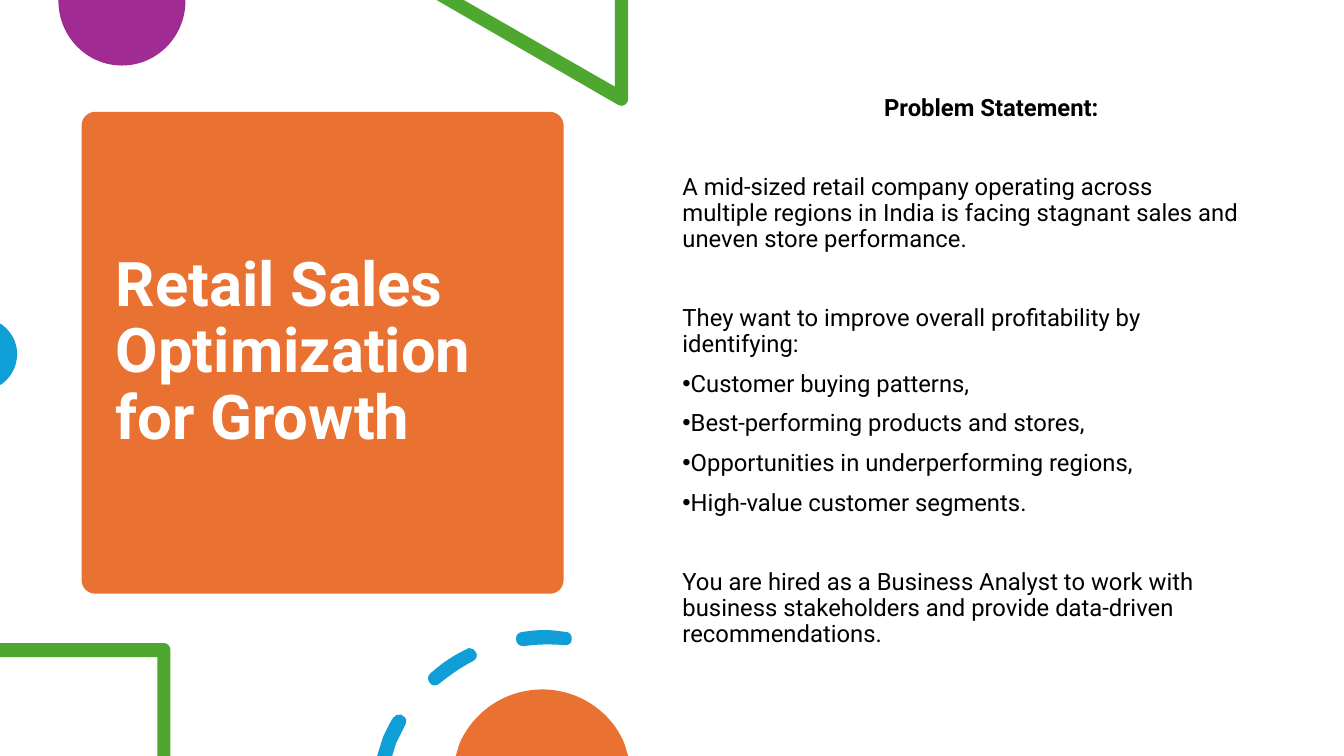
from dataclasses import dataclass

import lxml.etree
import pptx
import pptx.dml.color
import pptx.enum.shapes
import pptx.enum.text
import pptx.oxml.ns
import pptx.util


@dataclass(frozen=True)
class Theme:
    font: str = "Roboto"
    bullet_font: str = "Arial"
    orange: str = "E97132"
    purple: str = "A02B93"
    green: str = "4EA72E"
    blue: str = "0F9ED5"
    white: str = "FFFFFF"
    black: str = "000000"
    title_size: int = 44
    body_size: int = 17
    line_spacing: float = 0.9
    paragraph_gap: float = 10
    section_gap: float = 38.4


class SlideBuilder:
    """Draw styled elements on one slide, with lengths in px at 100 px to the inch."""

    SCALE = 9144

    def __init__(self, slide, theme):
        self.slide = slide
        self.theme = theme

    def emu(self, *lengths):
        return [pptx.util.Emu(length * self.SCALE) for length in lengths]

    def paint(self, shape, color):
        shape.shadow.inherit = False
        shape.fill.solid()
        shape.fill.fore_color.rgb = pptx.dml.color.RGBColor.from_string(color)
        shape.line.fill.background()

    def card(self, box, color, corner):
        shape = self.slide.shapes.add_shape(
            pptx.enum.shapes.MSO_SHAPE.ROUNDED_RECTANGLE, *self.emu(*box))
        shape.adjustments[0] = corner
        self.paint(shape, color)

    def outline(self, color, *contours):
        builder = None
        segments = []
        for start, *steps in contours:
            first = self.emu(*start)
            if builder is None:
                builder = self.slide.shapes.build_freeform(*first)
            else:
                builder.move_to(*first)
            builder.add_line_segments([self.emu(*step[-2:]) for step in steps], close=True)
            segments += steps
        shape = builder.convert_to_shape()
        lines = list(shape._element.iter(pptx.oxml.ns.qn("a:lnTo")))
        for line, segment in zip(lines, segments):
            if len(segment) == 6:
                self.bend(line, segment, shape.left, shape.top)
        self.paint(shape, color)

    def bend(self, line, segment, left, top):
        line.clear()
        curve = lxml.etree.Element(pptx.oxml.ns.qn("a:cubicBezTo"))
        values = self.emu(*segment)
        for x, y in zip(values[::2], values[1::2]):
            lxml.etree.SubElement(
                curve, pptx.oxml.ns.qn("a:pt"), x=str(x - left), y=str(y - top))
        line.getparent().replace(line, curve)

    def text_frame(self, box, anchor):
        frame = self.slide.shapes.add_textbox(*self.emu(*box)).text_frame
        frame.word_wrap = True
        frame.vertical_anchor = anchor
        return frame

    def paragraph(self, frame, text, size, color, bold=False, gap=0,
                  indent=0, bullet=None):
        paragraph = frame.paragraphs[0]
        if paragraph.text:
            paragraph = frame.add_paragraph()
        paragraph.text = text
        paragraph.line_spacing = self.theme.line_spacing
        paragraph.space_before = pptx.util.Pt(gap)
        properties = paragraph._p.get_or_add_pPr()
        margin, = self.emu(indent)
        properties.set("marL", str(int(margin)))
        if bullet:
            properties.set("indent", str(-int(margin)))
            lxml.etree.SubElement(
                properties, pptx.oxml.ns.qn("a:buFont"), typeface=self.theme.bullet_font)
            lxml.etree.SubElement(
                properties, pptx.oxml.ns.qn("a:buChar"), char=bullet)
        paragraph.font.name = self.theme.font
        paragraph.font.size = pptx.util.Pt(size)
        paragraph.font.bold = bold
        paragraph.font.color.rgb = pptx.dml.color.RGBColor.from_string(color)

    def title(self, box, text):
        frame = self.text_frame(box, pptx.enum.text.MSO_ANCHOR.MIDDLE)
        self.paragraph(frame, text, self.theme.title_size, self.theme.white, bold=True)

    def statement(self, box, heading, sections):
        theme = self.theme
        style = {"size": theme.body_size, "color": theme.black}
        frame = self.text_frame(box, pptx.enum.text.MSO_ANCHOR.TOP)
        self.paragraph(frame, heading, bold=True, indent=200, **style)
        for text, bullets in sections:
            self.paragraph(frame, text, gap=theme.section_gap, **style)
            for bullet in bullets:
                self.paragraph(frame, bullet, gap=theme.paragraph_gap,
                               indent=8, bullet="•", **style)


def main():
    theme = Theme()
    presentation = pptx.Presentation()
    presentation.slide_width = pptx.util.Inches(13.33)
    presentation.slide_height = pptx.util.Inches(7.5)
    slide = presentation.slides.add_slide(presentation.slide_layouts[6])
    builder = SlideBuilder(slide, theme)

    builder.card((81, 111, 478, 478), theme.orange, corner=0.028)
    builder.title((105, 122, 431, 456), "Retail Sales Optimization for Growth")

    purple_disc = [(184, 0), (58, 0), (58, 1), (58, 36, 86, 65, 121, 65),
                   (156, 65, 184, 36, 184, 1)]
    green_triangle = [(623, 0), (610, 0), (610, 86), (460, 0), (433, 0), (613, 104),
                      (614, 105, 615, 105, 616, 105), (620, 105, 623, 102, 623, 98)]
    blue_disc = [(0, 321), (0, 382), (2, 381), (11, 374, 17, 364, 17, 351),
                 (17, 339, 11, 329, 2, 322)]
    builder.outline(theme.purple, purple_disc)
    builder.outline(theme.green, green_triangle)
    builder.outline(theme.blue, blue_disc)

    builder.statement((667, 90, 575, 535), "Problem Statement:", [
        ("A mid-sized retail company operating across multiple regions in India "
         "is facing stagnant sales and uneven store performance.", []),
        ("They want to improve overall profitability by identifying:", [
            "Customer buying patterns,",
            "Best-performing products and stores,",
            "Opportunities in underperforming regions,",
            "High-value customer segments."]),
        ("You are hired as a Business Analyst to work with business stakeholders "
         "and provide data-driven recommendations.", [])])

    green_frame = [(163, 638), (0, 638), (0, 652), (156, 652), (156, 750), (169, 750),
                   (169, 645), (169, 641, 166, 638, 163, 638)]
    lower_dash = [(397, 709), (394, 708, 392, 710, 390, 712),
                  (386, 718, 383, 725, 380, 731), (374, 750), (389, 750), (393, 737),
                  (396, 731, 399, 725, 402, 719), (404, 716, 403, 711, 399, 710),
                  (399, 709, 398, 709, 397, 709)]
    middle_dash = [(465, 643), (465, 643, 464, 643, 463, 644),
                   (450, 650, 438, 658, 427, 668), (424, 670, 424, 675, 426, 677),
                   (427, 679, 429, 680, 431, 680), (433, 680, 435, 679, 436, 678),
                   (446, 670, 457, 662, 469, 656), (473, 654, 474, 650, 472, 647),
                   (471, 644, 468, 643, 465, 643)]
    upper_dash = [(540, 625), (532, 625, 525, 626, 518, 627),
                  (514, 627, 511, 631, 512, 635), (512, 638, 515, 641, 519, 641),
                  (519, 641, 519, 641, 520, 641), (533, 639, 546, 639, 560, 640),
                  (563, 641, 567, 638, 567, 635), (568, 631, 565, 627, 562, 627),
                  (562, 627, 561, 627, 561, 627), (554, 626, 547, 625, 540, 625)]
    orange_disc = [(538, 684), (501, 684, 470, 706, 456, 737), (452, 750), (623, 750),
                   (619, 737), (606, 706, 574, 684, 538, 684)]
    builder.outline(theme.green, green_frame)
    builder.outline(theme.blue, lower_dash, middle_dash, upper_dash)
    builder.outline(theme.orange, orange_disc)

    presentation.save("out.pptx")


if __name__ == "__main__":
    main()
